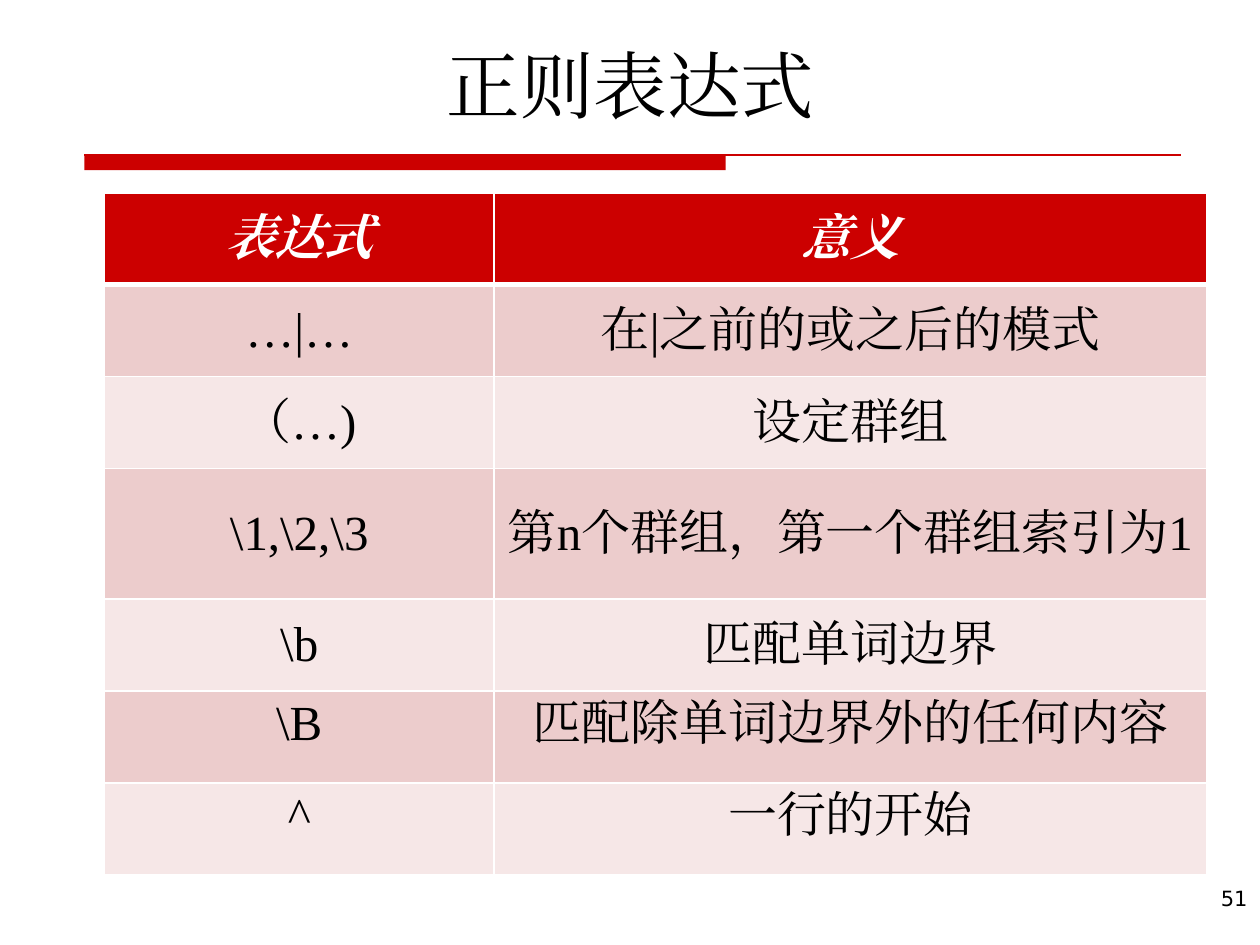
import pptx
import pptx.util
import pptx.dml.color
import pptx.enum.text
import pptx.enum.shapes
import pptx.oxml.ns
import lxml.etree
from dataclasses import dataclass

Inches = pptx.util.Inches
Pt = pptx.util.Pt
Align = pptx.enum.text.PP_ALIGN
Anchor = pptx.enum.text.MSO_ANCHOR
qn = pptx.oxml.ns.qn


@dataclass(frozen=True)
class Theme:
    red: str = "CC0000"
    dark: str = "ECCCCC"
    light: str = "F6E7E7"
    white: str = "FFFFFF"
    black: str = "000000"
    serif: str = "Times New Roman"
    sans: str = "DejaVu Sans"
    title: int = 42
    body: int = 28
    small: int = 12


theme = Theme()

ROWS = [
    ("表达式", "意义"),
    ("…|…", "在|之前的或之后的模式"),
    ("（…)", "设定群组"),
    (r"\1,\2,\3", "第n个群组，第一个群组索引为1"),
    (r"\b", "匹配单词边界"),
    (r"\B", "匹配除单词边界外的任何内容"),
    ("^", "一行的开始"),
]


def rgb(color):
    return pptx.dml.color.RGBColor.from_string(color)


def write(frame, text, size, color, face, align):
    para = frame.paragraphs[0]
    para.text = text
    para.alignment = align
    font = para.font
    font.size = Pt(size)
    font.name = face
    font.color.rgb = rgb(color)
    props = para._p.pPr.find(qn("a:defRPr"))
    lxml.etree.SubElement(props, qn("a:ea")).set("typeface", face)
    return font


def label(slide, box, text, size, face, align, anchor):
    frame = slide.shapes.add_textbox(*map(Inches, box)).text_frame
    frame.word_wrap = True
    frame.vertical_anchor = anchor
    write(frame, text, size, theme.black, face, align)


def rule(slide, box):
    left, top, width, height = box
    bar = slide.shapes.add_shape(
        pptx.enum.shapes.MSO_SHAPE.RECTANGLE,
        Inches(left), Inches(top), Inches(width * 0.585), Inches(height))
    bar.shadow.inherit = False
    bar.fill.solid()
    bar.fill.fore_color.rgb = rgb(theme.red)
    bar.line.fill.background()
    line = slide.shapes.add_connector(
        pptx.enum.shapes.MSO_CONNECTOR.STRAIGHT,
        Inches(left), Inches(top), Inches(left + width), Inches(top))
    line.line.color.rgb = rgb(theme.red)
    line.line.width = Pt(0.75)
    lxml.etree.SubElement(line._element.spPr, qn("a:effectLst"))


def edge(cell, widths):
    props = cell._tc.get_or_add_tcPr()
    for index, (side, width) in enumerate(widths.items()):
        line = lxml.etree.Element(qn(f"a:ln{side}"), w=str(Pt(width)))
        fill = lxml.etree.SubElement(line, qn("a:solidFill"))
        lxml.etree.SubElement(fill, qn("a:srgbClr"), val=theme.white)
        props.insert(index, line)


def grid(slide, box, rows):
    left, top, width, height = box
    table = slide.shapes.add_table(
        len(rows), 2, *map(Inches, box)).table
    first = 3.09
    table.columns[0].width = Inches(first)
    table.columns[1].width = Inches(width - first)
    for r, row in enumerate(rows):
        table.rows[r].height = Inches(height / len(rows))
        head = r == 0
        shade = theme.red if head else (theme.light, theme.dark)[r % 2]
        above = 3 if r == 1 else 1
        below = 3 if head else 1
        for c, text in enumerate(row):
            cell = table.cell(r, c)
            cell.fill.solid()
            cell.fill.fore_color.rgb = rgb(shade)
            cell.vertical_anchor = Anchor.MIDDLE if r < 5 else Anchor.TOP
            ink = theme.white if head else theme.black
            font = write(cell.text_frame, text, theme.body, ink,
                         theme.serif, Align.CENTER)
            font.bold = head
            font.italic = head
            edge(cell, {"L": 1, "R": 1, "T": above, "B": below})


def main():
    deck = pptx.Presentation()
    deck.slide_width = Inches(10)
    deck.slide_height = Inches(7.5)
    slide = deck.slides.add_slide(deck.slide_layouts[6])
    rule(slide, (0.67, 1.23, 8.7, 0.12))
    label(slide, (0.63, 0.33, 8.75, 0.74), "正则表达式",
          theme.title, theme.serif, Align.CENTER, Anchor.BOTTOM)
    label(slide, (7.86, 6.98, 2.14, 0.52), "51",
          theme.small, theme.sans, Align.RIGHT, Anchor.TOP)
    grid(slide, (0.83, 1.53, 8.75, 5.11), ROWS)
    deck.save("out.pptx")


if __name__ == "__main__":
    main()
